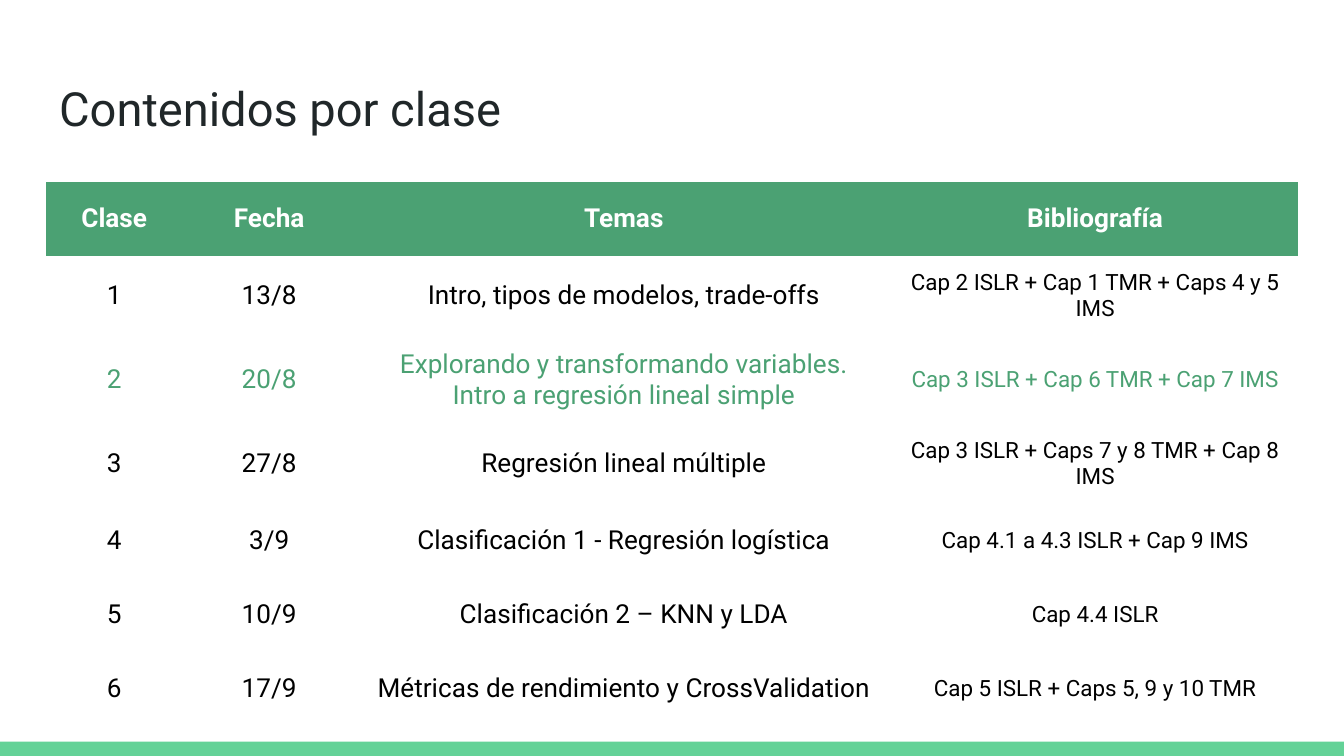
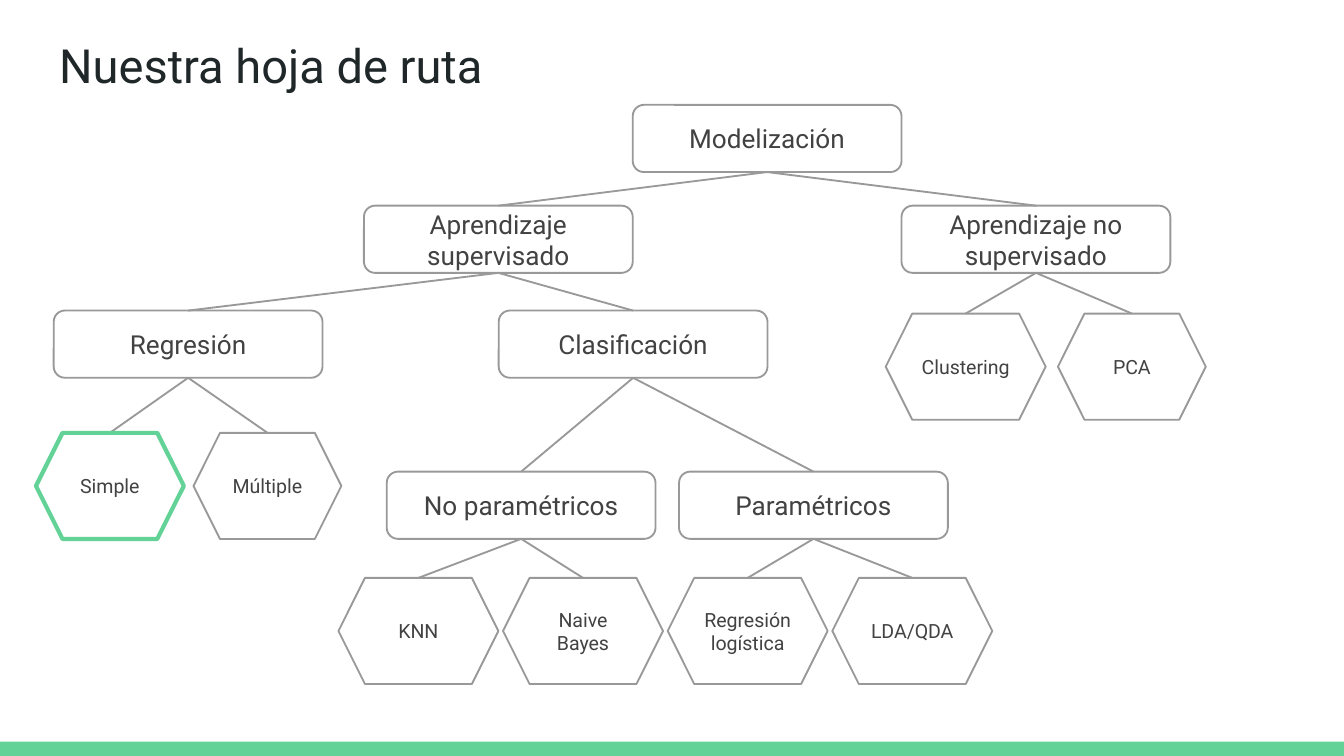
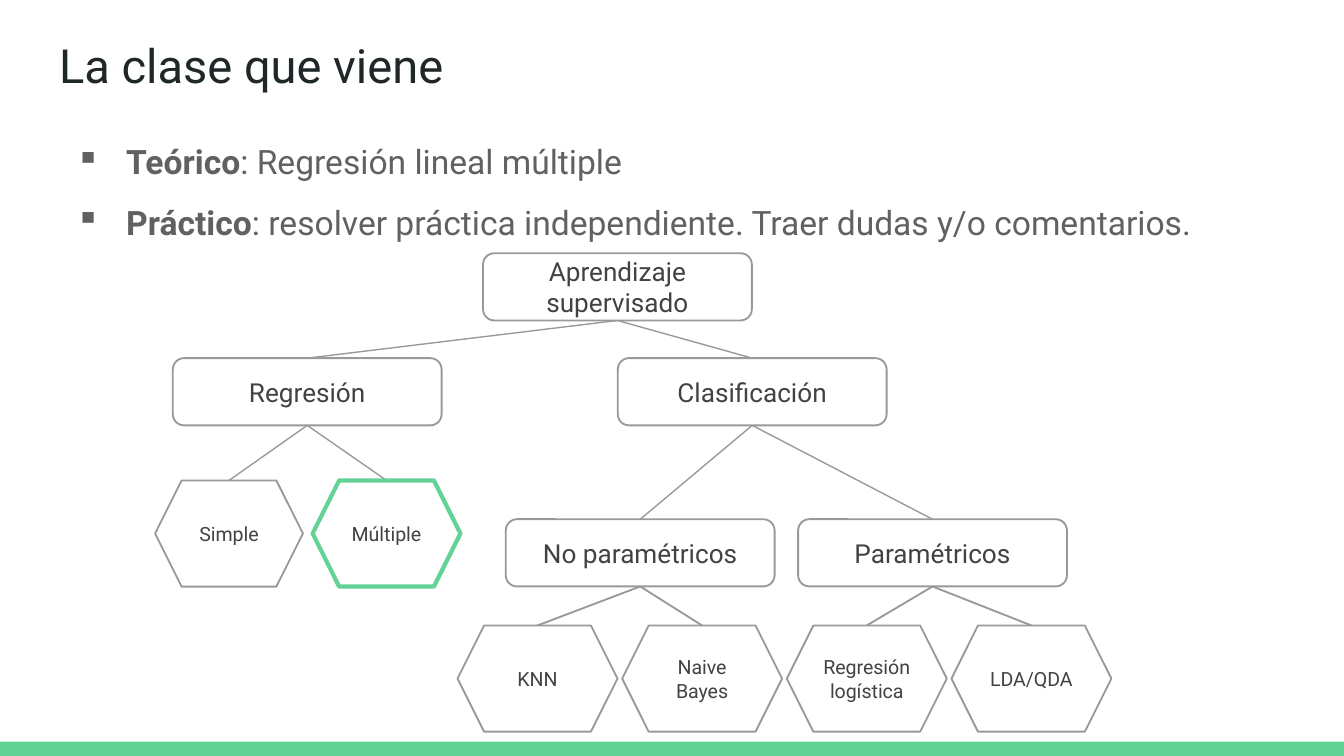
from dataclasses import dataclass

from lxml import etree
from pptx import Presentation
from pptx.dml.color import RGBColor
from pptx.enum import shapes, text
from pptx.oxml import ns
from pptx.util import Pt


@dataclass(frozen=True)
class Theme:
    font: str = "Roboto"
    title: str = "202729"
    band: str = "63D297"
    header: str = "4BA173"
    white: str = "FFFFFF"
    black: str = "000000"
    line: str = "999999"
    node: str = "424242"
    body: str = "616161"
    title_size: float = 25.2
    body_size: float = 18
    table_size: float = 14
    source_size: float = 12
    leaf_size: float = 10.5


theme = Theme()


def style_text(frame, size, color, align=text.PP_ALIGN.CENTER, bold=False):
    frame.word_wrap = True
    frame.vertical_anchor = text.MSO_ANCHOR.MIDDLE
    for para in frame.paragraphs:
        para.alignment = align
        for span in para.runs:
            span.font.name = theme.font
            span.font.size = Pt(size)
            span.font.bold = bold
            span.font.color.rgb = RGBColor.from_string(color)


def set_margins(frame):
    frame.margin_left = frame.margin_right = Pt(7.2)
    frame.margin_top = frame.margin_bottom = Pt(7.2)


deck = Presentation()
deck.slide_width, deck.slide_height = Pt(720), Pt(405)

# Titles
pages = []
for title, top in (("Contenidos por clase", 35.3),
                   ("Nuestra hoja de ruta", 12.2),
                   ("La clase que viene", 12.2)):
    page = deck.slides.add_slide(deck.slide_layouts[5])
    box = page.shapes.title
    box.left, box.top, box.width, box.height = Pt(24.5), Pt(top), Pt(671), Pt(45)
    box.text_frame.text = title
    box.text_frame.auto_size = text.MSO_AUTO_SIZE.NONE
    set_margins(box.text_frame)
    style_text(box.text_frame, theme.title_size, theme.title, text.PP_ALIGN.LEFT)
    pages.append(page)
contents_page, map_page, next_page = pages

# Bottom band, kept on the master so that every slide shows it
band = map_page.shapes.add_shape(shapes.MSO_SHAPE.RECTANGLE, 0, Pt(397.3), Pt(720), Pt(7.7))
band.shadow.inherit = False
band.fill.solid()
band.fill.fore_color.rgb = RGBColor.from_string(theme.band)
band.line.fill.background()
deck.slide_master.shapes.element.append(band.element)

# Class schedule
schedule = [
    ("Clase", "Fecha", "Temas", "Bibliografía"),
    ("1", "13/8", "Intro, tipos de modelos, trade-offs", "Cap 2 ISLR + Cap 1 TMR + Caps 4 y 5 IMS"),
    ("2", "20/8", "Explorando y transformando variables.\nIntro a regresión lineal simple",
     "Cap 3 ISLR + Cap 6 TMR + Cap 7 IMS"),
    ("3", "27/8", "Regresión lineal múltiple", "Cap 3 ISLR + Caps 7 y 8 TMR + Cap 8 IMS"),
    ("4", "3/9", "Clasificación 1 - Regresión logística", "Cap 4.1 a 4.3 ISLR + Cap 9 IMS"),
    ("5", "10/9", "Clasificación 2 – KNN y LDA", "Cap 4.4 ISLR"),
    ("6", "17/9", "Métricas de rendimiento y CrossValidation", "Cap 5 ISLR + Caps 5, 9 y 10 TMR"),
]
current_class = 2
widths = (73.5, 92.5, 287.5, 217.5)
holder = contents_page.shapes.add_table(
    len(schedule), len(widths), Pt(24.5), Pt(97.4), Pt(sum(widths)), Pt(39.7 * len(schedule)))
table = holder.table
table.first_row = table.horz_banding = False
no_grid_style = "{2D5ABB26-0587-4C30-8999-92F81FD0307C}"
holder.element.find(".//" + ns.qn("a:tableStyleId")).text = no_grid_style
for column, width in zip(table.columns, widths):
    column.width = Pt(width)
for r, row in enumerate(schedule):
    for c, words in enumerate(row):
        cell = table.cell(r, c)
        cell.text_frame.text = words
        size, color = theme.table_size, theme.black
        if r == 0:
            cell.fill.solid()
            cell.fill.fore_color.rgb = RGBColor.from_string(theme.header)
            color = theme.white
        else:
            cell.fill.background()
            if c == 3:
                size = theme.source_size
            if r == current_class:
                color = theme.header
        style_text(cell.text_frame, size, color, bold=r == 0)
        cell.vertical_anchor = text.MSO_ANCHOR.MIDDLE
        set_margins(cell)

# Plan for the next class
box = next_page.shapes.add_textbox(Pt(24.5), Pt(57.6), Pt(671), Pt(269.3))
frame = box.text_frame
set_margins(frame)
plan = (("Teórico", ": Regresión lineal múltiple"),
        ("Práctico", ": resolver práctica independiente. Traer dudas y/o comentarios."))
for i, parts in enumerate(plan):
    para = frame.paragraphs[0] if i == 0 else frame.add_paragraph()
    para.line_spacing = 1.5
    for part in parts:
        para.add_run().text = part
style_text(frame, theme.body_size, theme.body, text.PP_ALIGN.LEFT)
frame.vertical_anchor = text.MSO_ANCHOR.TOP
for para in frame.paragraphs:
    para.runs[0].font.bold = True
    props = para._p.get_or_add_pPr()
    props.set("marL", str(Pt(36)))
    props.set("indent", str(Pt(-27)))
    bullet_color = etree.SubElement(props, ns.qn("a:buClr"))
    etree.SubElement(bullet_color, ns.qn("a:srgbClr"), val=theme.body)
    etree.SubElement(props, ns.qn("a:buChar"), char="▪")

# Model tree: name, parent, left, top, width, height
branch, leaf, wide_leaf = (144, 36), (79.2, 56.9), (85.7, 56.9)
supervised, unsupervised = "Aprendizaje supervisado", "Aprendizaje no supervisado"
tree = [
    ("Modelización", None, 339, 56.2, *branch),
    (supervised, "Modelización", 195, 110.2, *branch),
    (unsupervised, "Modelización", 483, 110.2, *branch),
    ("Regresión", supervised, 28.8, 166.4, *branch),
    ("Clasificación", supervised, 267.2, 166.4, *branch),
    ("Simple", "Regresión", 19.3, 231.9, *leaf),
    ("Múltiple", "Regresión", 103.7, 231.9, *leaf),
    ("Clustering", unsupervised, 474.5, 168, *wide_leaf),
    ("PCA", unsupervised, 566.8, 168, *leaf),
    ("No paramétricos", "Clasificación", 207.2, 252.7, *branch),
    ("Paramétricos", "Clasificación", 363.8, 252.7, *branch),
]
method_parents = ("No paramétricos", "Paramétricos")
for i, method in enumerate(("KNN", "Naive Bayes", "Regresión logística", "LDA/QDA")):
    tree.append((method, method_parents[i // 2], 181.3 + 88.2 * i, 309.6, *wide_leaf))

# Each map: page, root, highlighted leaf, shift right, shift down, line width
for page, root, highlight, dx, dy, line_width in (
        (map_page, "Modelización", "Simple", 0, 0, 1),
        (next_page, supervised, "Múltiple", 63.8, 25.5, 0.75)):
    bottoms = {}
    for name, parent, left, top, width, height in tree:
        if name != root and parent not in bottoms:
            continue
        left, top = left + dx, top + dy
        center = left + width / 2
        bottoms[name] = (center, top + height)
        if name != root:
            start_x, start_y = bottoms[parent]
            link = page.shapes.add_connector(
                shapes.MSO_CONNECTOR.STRAIGHT, Pt(start_x), Pt(start_y), Pt(center), Pt(top))
            link.line.color.rgb = RGBColor.from_string(theme.line)
            link.line.width = Pt(1 if parent in method_parents else line_width)
            etree.SubElement(link.element.spPr, ns.qn("a:effectLst"))
        is_branch = height == branch[1]
        kind = shapes.MSO_SHAPE.ROUNDED_RECTANGLE if is_branch else shapes.MSO_SHAPE.HEXAGON
        node = page.shapes.add_shape(kind, Pt(left), Pt(top), Pt(width), Pt(height))
        node.shadow.inherit = False
        node.fill.background()
        node.line.color.rgb = RGBColor.from_string(theme.band if name == highlight else theme.line)
        node.line.width = Pt(2.25 if name == highlight else 1)
        node.text_frame.text = name
        style_text(node.text_frame, theme.table_size if is_branch else theme.leaf_size, theme.node)

deck.save("out.pptx")
